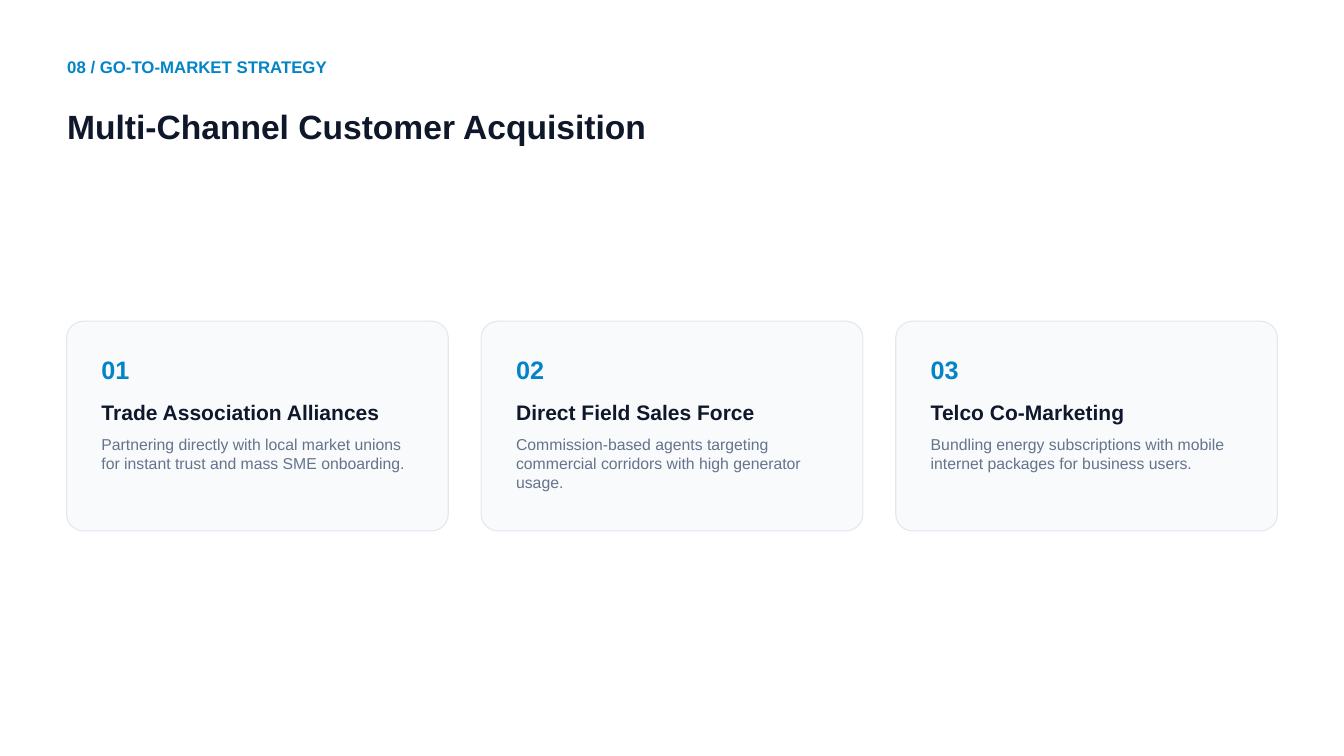
from dataclasses import dataclass

from pptx import Presentation
from pptx import util as u
from pptx.dml import color
from pptx.enum import shapes, text


@dataclass(frozen=True)
class Theme:
    font: str = "Arial"
    background: str = "FFFFFF"
    accent: str = "0284C7"
    heading: str = "0F172A"
    body: str = "64748B"
    card_fill: str = "F8FAFC"
    card_line: str = "E2E8F0"
    card_line_width: float = 1.13
    label_size: float = 18
    title_size: float = 36
    number_size: float = 27
    name_size: float = 22.5
    body_size: float = 16.9


theme = Theme()
presentation = Presentation()
presentation.slide_width = u.Inches(20)
presentation.slide_height = u.Inches(11.25)
column = presentation.slide_width / 20
row = presentation.slide_height / 45
slide = presentation.slides.add_slide(presentation.slide_layouts[6])
slide.background.fill.solid()
slide.background.fill.fore_color.rgb = color.RGBColor.from_string(theme.background)


def grid_box(left, top, width, height):
    return int(left * column), int(top * row), int(width * column), int(height * row)


def add_text(words, box, size, ink, bold=True, leading=1.2):
    frame = slide.shapes.add_textbox(*grid_box(*box)).text_frame
    frame.margin_left = frame.margin_top = frame.margin_right = frame.margin_bottom = 0
    frame.word_wrap = True
    frame.auto_size = text.MSO_AUTO_SIZE.SHAPE_TO_FIT_TEXT
    frame.text = words
    paragraph = frame.paragraphs[0]
    paragraph.line_spacing = u.Pt(round(size * leading, 1))
    font = paragraph.runs[0].font
    font.name = theme.font
    font.size = u.Pt(size)
    font.bold = bold
    font.color.rgb = color.RGBColor.from_string(ink)


add_text("08 / GO-TO-MARKET STRATEGY", (1, 3.4, 19, 1.4), theme.label_size, theme.accent)
add_text("Multi-Channel Customer Acquisition", (1, 5.84, 19, 2.84),
         theme.title_size, theme.heading, leading=1.44)

channels = [
    ("Trade Association Alliances",
     "Partnering directly with local market unions for instant trust and mass SME onboarding."),
    ("Direct Field Sales Force",
     "Commission-based agents targeting commercial corridors with high generator usage."),
    ("Telco Co-Marketing",
     "Bundling energy subscriptions with mobile internet packages for business users."),
]
card_left, card_width, card_pitch, padding = 0.99, 5.68, 6.17, 0.52

for index, (name, description) in enumerate(channels):
    left = card_left + index * card_pitch
    card = slide.shapes.add_shape(shapes.MSO_SHAPE.ROUNDED_RECTANGLE,
                                  *grid_box(left, 19.12, card_width, 12.48))
    card.adjustments[0] = 0.08
    card.shadow.inherit = False
    card.fill.solid()
    card.fill.fore_color.rgb = color.RGBColor.from_string(theme.card_fill)
    card.line.color.rgb = color.RGBColor.from_string(theme.card_line)
    card.line.width = u.Pt(theme.card_line_width)

    inner = left + padding
    add_text(f"{index + 1:02}", (inner, 21.12, 5.79, 1.96), theme.number_size, theme.accent)
    add_text(name, (inner, 23.76, 6.08, 1.72), theme.name_size, theme.heading)
    add_text(description, (inner, 25.88, 4.79, 3.64), theme.body_size, theme.body, bold=False)

presentation.save("out.pptx")
